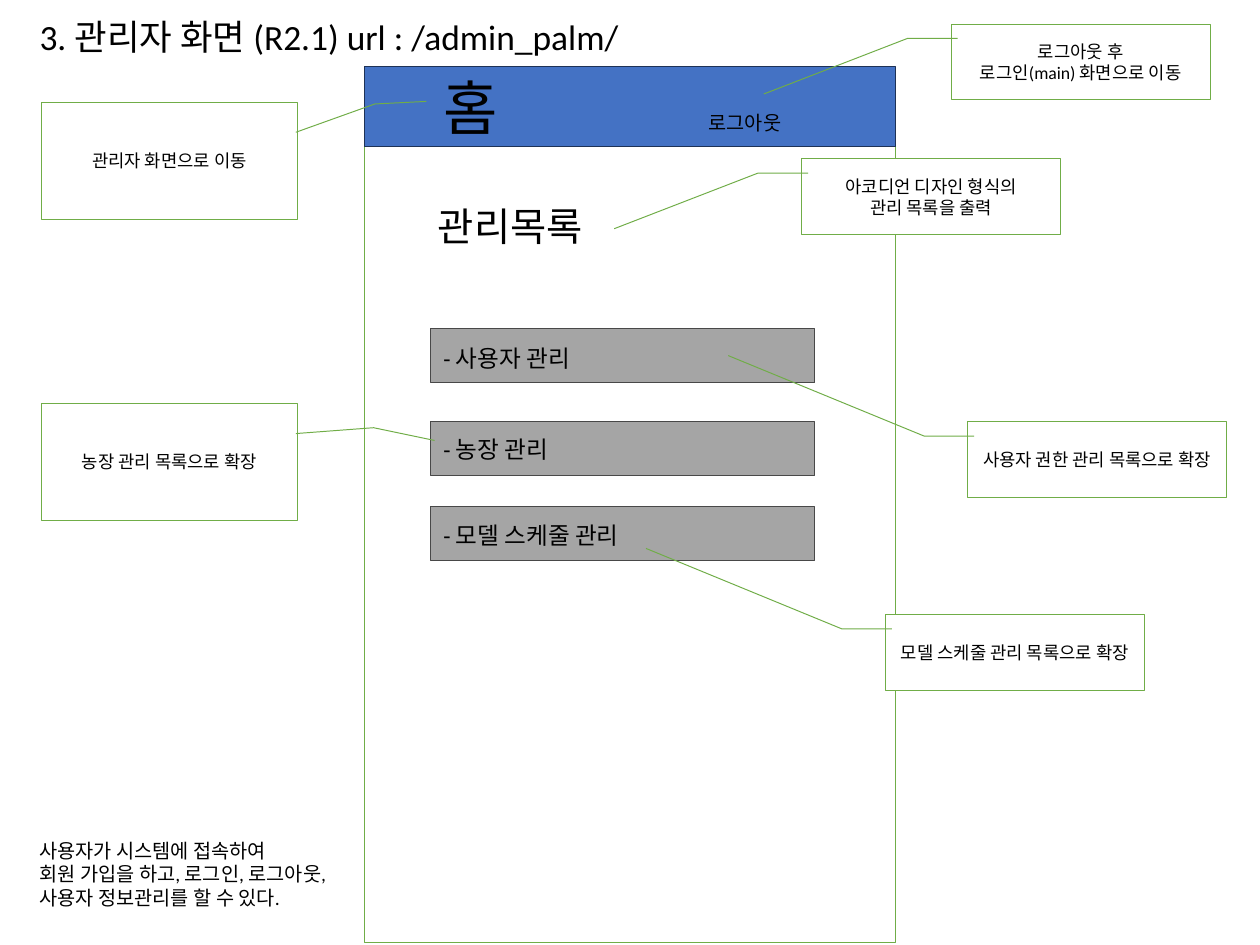
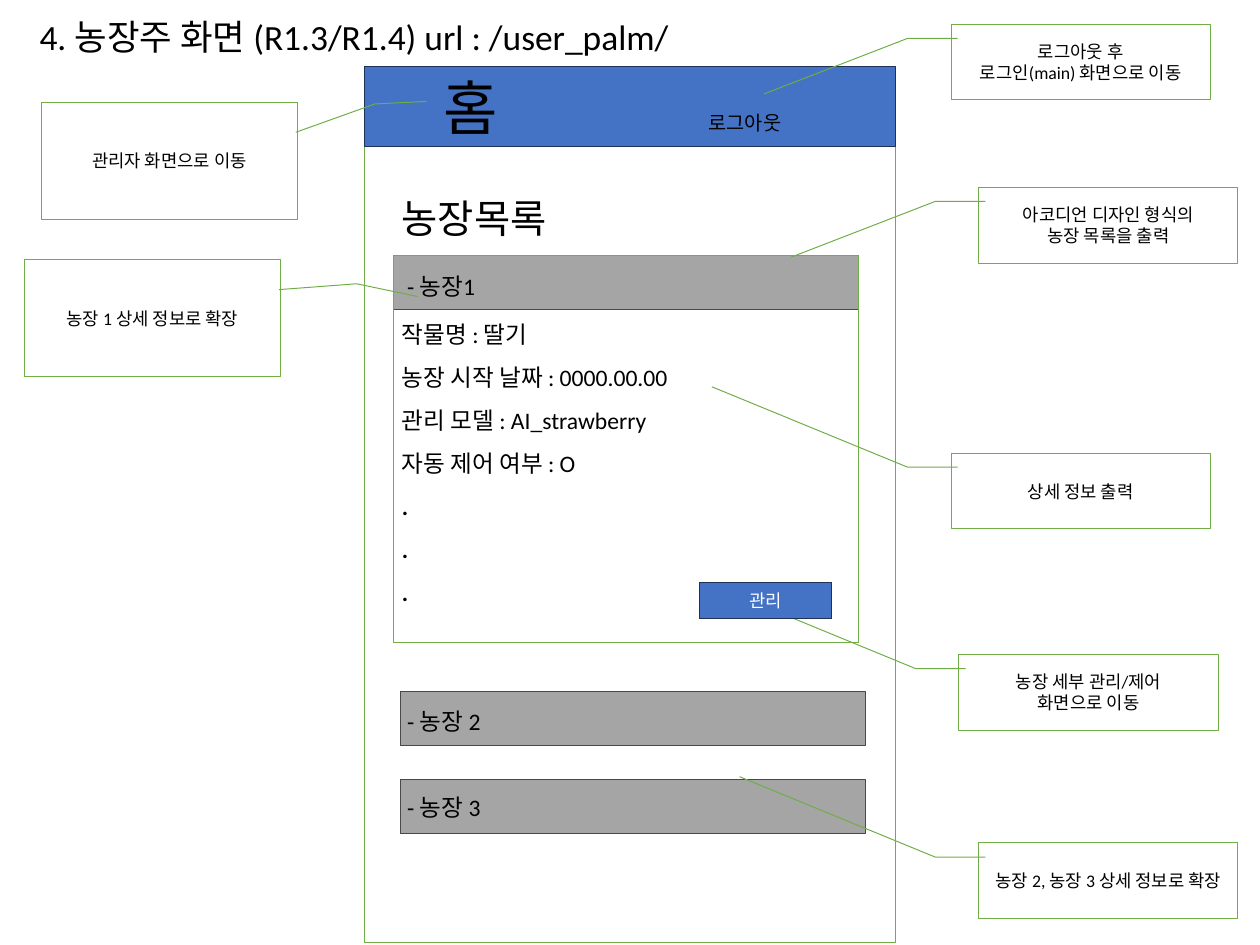
from lxml import etree
from pptx import Presentation
from pptx.dml.color import RGBColor
from pptx.enum.shapes import MSO_SHAPE
from pptx.enum.text import MSO_ANCHOR, MSO_AUTO_SIZE, PP_ALIGN
from pptx.oxml.ns import qn
from pptx.util import Inches, Pt

RECT, CALLOUT = MSO_SHAPE.RECTANGLE, MSO_SHAPE.LINE_CALLOUT_2
CENTER, LEFT = PP_ALIGN.CENTER, PP_ALIGN.LEFT
TOP, MIDDLE, BOTTOM = MSO_ANCHOR.TOP, MSO_ANCHOR.MIDDLE, MSO_ANCHOR.BOTTOM
NO_FIT, GROW = MSO_AUTO_SIZE.NONE, MSO_AUTO_SIZE.SHAPE_TO_FIT_TEXT

FONT = "Calibri"
BLACK, WHITE, GRAY, BLUE = "000000", "FFFFFF", "A5A5A5", "4472C4"
GREEN, DARK_GRAY, NAVY = "70AD47", "484848", "1E3256"

# Leader lines: y, x of start, bend and end as shares of the callout box
TO_LOWER_LEFT = (0.188, 0.026, 0.188, -0.167, 0.922, -0.722)
TO_UPPER_LEFT = (0.188, 0.026, 0.188, -0.167, -0.873, -0.922)
TO_HOME = (0.258, 0.993, 0.016, 1.301, -0.006, 1.502)
TO_ITEM = (0.258, 0.993, 0.208, 1.296, 0.317, 1.534)
WIDE, TALL = (3.66, 1.07), (3.62, 1.65)

# Space before list paragraphs, in points
GAP, LINE = 17.8, 25.8
ONE_SKIPPED = 2 * GAP + LINE
TWO_SKIPPED = 3 * GAP + 2 * LINE


def style_text(paragraph, size, color=BLACK, align=LEFT):
    paragraph.alignment = align
    for run in paragraph.runs:
        run.font.name = FONT
        run.font.size = Pt(size)
        run.font.color.rgb = RGBColor.from_string(color)


def add_box(slide, preset, at, fill, line, text="", color=BLACK):
    box = slide.shapes.add_shape(preset, *map(Inches, at))
    box.shadow.inherit = False
    if fill:
        box.fill.solid()
        box.fill.fore_color.rgb = RGBColor.from_string(fill)
    else:
        box.fill.background()
    box.line.color.rgb = RGBColor.from_string(line)
    box.line.width = Pt(1)
    if text:
        box.text_frame.text = text
        box.text_frame.vertical_anchor = MIDDLE
        for paragraph in box.text_frame.paragraphs:
            style_text(paragraph, 18, color, CENTER)
    return box


SHARED_CALLOUTS = [
    (13.42, 0.34, WIDE, TO_LOWER_LEFT, "로그아웃 후\n로그인(main) 화면으로 이동"),
    (0.58, 1.44, TALL, TO_HOME, "관리자 화면으로 이동"),
]

SCREENS = [
    {
        "heading": "3. 관리자 화면 (R2.1) url : /admin_palm/",
        "heading_width": 9.19,
        "bars": [(6.08, top, 5.42, 0.76) for top in (4.64, 5.95, 7.15)],
        "list_at": (6.08, 2.88, 5.62, 7),
        "list": [
            ("관리목록", 40, GAP),
            (" - 사용자 관리", 24, 98),
            (" - 농장 관리", 24, 66.5),
            (" - 모델 스케줄 관리", 24, ONE_SKIPPED),
        ],
        "callouts": [
            (13.65, 5.95, WIDE, TO_UPPER_LEFT, "사용자 권한 관리 목록으로 확장"),
            (12.49, 8.67, WIDE, TO_UPPER_LEFT, "모델 스케줄 관리 목록으로 확장"),
            (0.58, 5.69, TALL, TO_ITEM, "농장 관리 목록으로 확장"),
            (11.31, 2.24, WIDE, TO_LOWER_LEFT, "아코디언 디자인 형식의\n관리 목록을 출력"),
        ],
    },
    {
        "heading": "4. 농장주 화면 (R1.3/R1.4) url : /user_palm/",
        "heading_width": 9.9,
        "bars": [(left, top, 6.56, 0.76)
                 for left, top in ((5.56, 3.61), (5.65, 9.76), (5.65, 11))],
        "list_at": (5.57, 2.77, 6.81, 9.23),
        "list": [
            ("농장목록", 40, GAP),
            (" - 농장1", 24, 33),
            ("작물명 : 딸기", 24, 22.5),
            ("농장 시작 날짜 : 0000.00.00", 24, GAP),
            ("관리 모델 : AI_strawberry", 24, GAP),
            ("자동 제어 여부 : O", 24, GAP),
            *[(".", 24, GAP)] * 3,
            (" - 농장 2", 24, TWO_SKIPPED),
            (" - 농장 3", 24, ONE_SKIPPED),
        ],
        "callouts": [
            (13.42, 6.39, WIDE, TO_UPPER_LEFT, "상세 정보 출력"),
            (0.34, 3.66, TALL, TO_ITEM, "농장 1 상세 정보로 확장"),
            (13.81, 2.64, WIDE, TO_LOWER_LEFT, "아코디언 디자인 형식의\n농장 목록을 출력"),
            (13.53, 9.23, WIDE, TO_UPPER_LEFT, "농장 세부 관리/제어\n화면으로 이동"),
            (13.81, 11.89, WIDE, TO_UPPER_LEFT, "농장 2, 농장 3 상세 정보로 확장"),
        ],
    },
]

prs = Presentation()
prs.slide_width, prs.slide_height = Inches(17.78), Inches(13.33)
slides = []

for screen in SCREENS:
    slide = prs.slides.add_slide(prs.slide_layouts[0])
    slides.append(slide)
    menu_bar, item_list = slide.shapes.title, slide.placeholders[1]

    # Screen frame, header band and accordion bars
    add_box(slide, RECT, (5.14, 1, 7.5, 12.3), WHITE, GREEN)
    add_box(slide, RECT, (5.14, 0.94, 7.5, 1.13), BLUE, NAVY)
    for bar_at in screen["bars"]:
        add_box(slide, RECT, bar_at, GRAY, DARK_GRAY)

    # Placeholders go in front of the bands
    for holder, at in ((menu_bar, (4.64, 1, 8, 1.07)), (item_list, screen["list_at"])):
        holder.left, holder.top, holder.width, holder.height = map(Inches, at)
        slide.shapes.element.append(holder.element)
        holder.text_frame.auto_size = NO_FIT
        holder.text_frame.word_wrap = True

    # Menu text with tab stops between home and logout
    menu_bar.text_frame.vertical_anchor = BOTTOM
    menu = menu_bar.text_frame.paragraphs[0]
    menu.text = "홈\t\t "
    logout = menu.add_run()
    logout.text = "로그아웃"
    style_text(menu, 60, align=CENTER)
    logout.font.size = Pt(20)
    menu.line_spacing = 0.9
    tabs = etree.SubElement(menu_bar.element.xpath(".//a:pPr")[0], qn("a:tabLst"))
    for stop in (1.78, 3.56):
        etree.SubElement(tabs, qn("a:tab"), pos=str(Inches(stop)), algn="l")

    # Accordion list
    item_list.text_frame.vertical_anchor = TOP
    item_list.text_frame.text = "\n".join(text for text, _, _ in screen["list"])
    for paragraph, (text, size, before) in zip(item_list.text_frame.paragraphs, screen["list"]):
        style_text(paragraph, size)
        paragraph.line_spacing = 0.9
        paragraph.space_before = Pt(before)
        paragraph.runs[0].font.bold = text == "."

    # Page heading
    heading = slide.shapes.add_textbox(
        Inches(0.46), Inches(0.16), Inches(screen["heading_width"]), Inches(0.71))
    heading.text_frame.text = screen["heading"]
    heading.text_frame.word_wrap = False
    heading.text_frame.auto_size = GROW
    style_text(heading.text_frame.paragraphs[0], 36)

    # Callouts
    for left, top, size, leader, text in SHARED_CALLOUTS + screen["callouts"]:
        callout = add_box(slide, CALLOUT, (left, top, *size), WHITE, GREEN, text)
        for index, share in enumerate(leader):
            callout.adjustments[index] = share

admin_screen, farm_screen = slides

# Summary note on the admin screen
note = admin_screen.shapes.add_textbox(Inches(0.46), Inches(11.78), Inches(4.68), Inches(1.11))
note.text_frame.text = ("사용자가 시스템에 접속하여\n회원 가입을 하고, 로그인, 로그아웃,\n"
                        "사용자 정보관리를 할 수 있다.")
note.text_frame.word_wrap = True
note.text_frame.auto_size = GROW
for paragraph in note.text_frame.paragraphs:
    style_text(paragraph, 20)

# Opened farm panel and its button on the farm screen
add_box(farm_screen, RECT, (5.56, 3.61, 6.56, 5.45), None, GREEN)
add_box(farm_screen, RECT, (9.87, 8.21, 1.87, 0.52), BLUE, NAVY, "관리", WHITE)

prs.save("out.pptx")
